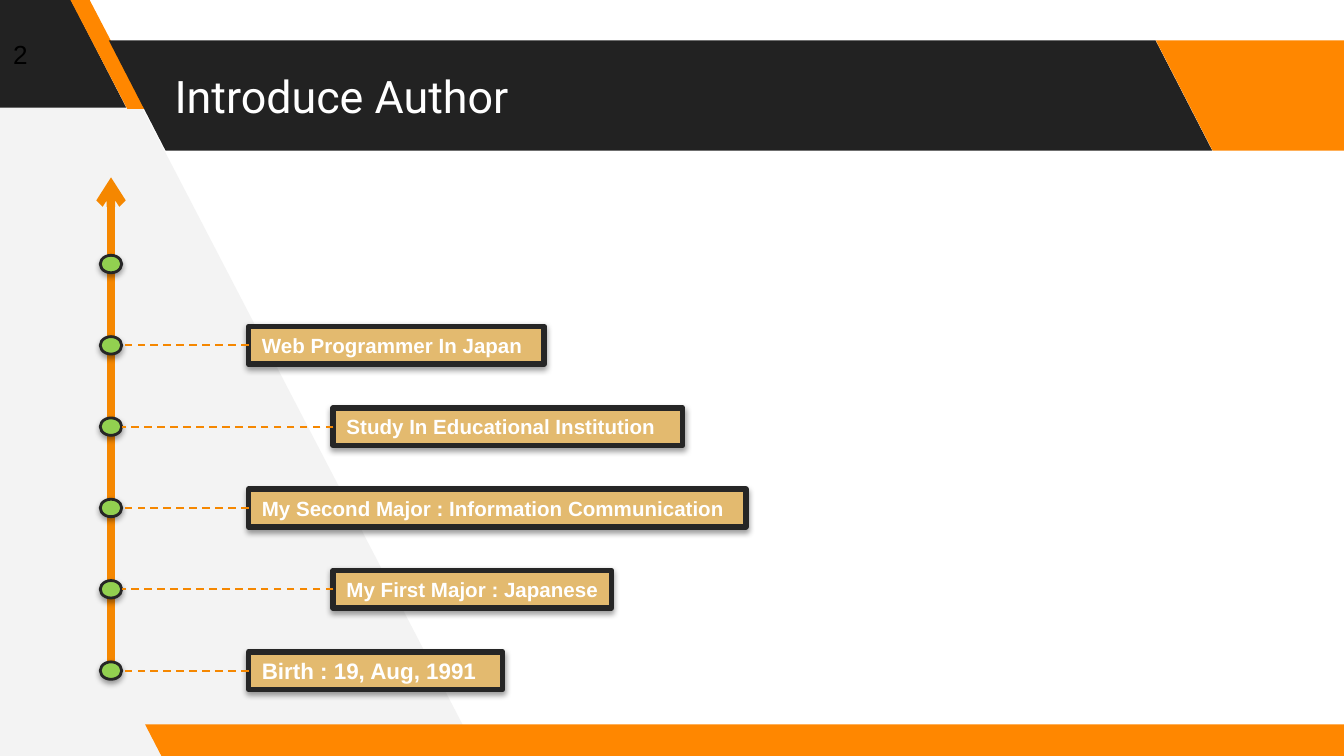
"""Build the author timeline slide."""
from typing import NamedTuple

import lxml.etree
import pptx
import pptx.dml.color
import pptx.enum.dml
import pptx.enum.shapes
import pptx.enum.text
import pptx.oxml
import pptx.oxml.ns
import pptx.util

RGB = pptx.dml.color.RGBColor
KIND = pptx.enum.shapes.MSO_SHAPE
DARK = RGB(0x22, 0x22, 0x22)
EDGE = RGB(0x26, 0x26, 0x26)
ORANGE = RGB(0xFF, 0x87, 0x00)
AMBER = RGB(0xF5, 0x87, 0x00)
SAND = RGB(0xE3, 0xBA, 0x6F)
GREEN = RGB(0x92, 0xD0, 0x50)
PALE = RGB(0xF3, 0xF3, 0xF3)
WHITE = RGB(0xFF, 0xFF, 0xFF)
BLACK = RGB(0, 0, 0)

WIDE = pptx.util.Inches(10)
HIGH = WIDE * 9 // 16
COLS, ROWS = 100, 56.25
AXIS, BASE, STEP = 8.26, 49.9, 6.05
DOT_W, DOT_H, BOX_H = 1.6, 1.3, 2.8
NEAR, FAR = 18.5, 24.8
SHADE = (
    '<a:effectLst xmlns:a="http://schemas.openxmlformats.org/drawingml/2006/main">'
    '<a:outerShdw blurRad="39370" dist="20320" dir="5400000" rotWithShape="0">'
    '<a:srgbClr val="000000"><a:alpha val="38000"/></a:srgbClr>'
    '</a:outerShdw></a:effectLst>'
)


class Area(NamedTuple):
    """Place and size in grid columns and rows."""
    left: float
    top: float
    width: float
    height: float


class Band(NamedTuple):
    """Slanted band with its slant and colour."""
    area: Area
    slant: float
    color: RGB


class Event(NamedTuple):
    """Labelled step of the timeline."""
    text: str
    left: float
    width: float
    size: float = 11


BANDS = (
    Band(Area(-9.9, -0.2, 19.3, 8.2), 0.515, DARK),
    Band(Area(5.2, -0.1, 5.7, 8.2), 0.75, ORANGE),
    Band(Area(8.1, 3, 82.1, 8.2), 0.515, DARK),
    Band(Area(86, 3, 19.2, 8.2), 0.515, ORANGE),
    Band(Area(10.8, 53.9, 91.5, 2.5), 0.515, ORANGE),
)
EVENTS = (
    Event("Birth : 19, Aug, 1991", NEAR, 18.9, 12),
    Event("My First Major : Japanese", FAR, 20.7),
    Event("My Second Major : Information Communication", NEAR, 37),
    Event("Study In Educational Institution", FAR, 26),
    Event("Web Programmer In Japan", NEAR, 22),
)


def col(count: float) -> int:
    """Return the length of some columns."""
    return round(WIDE * count / COLS)


def row(count: float) -> int:
    """Return the length of some rows."""
    return round(HIGH * count / ROWS)


def span(area: Area) -> tuple[int, int, int, int]:
    """Return an area as slide lengths."""
    return col(area.left), row(area.top), col(area.width), row(area.height)


def add_form(slide, kind, area: Area, fill: RGB, width: float = 0):
    """Add a filled shape, outlined and shaded if a width is given."""
    form = slide.shapes.add_shape(kind, *span(area))
    form.shadow.inherit = False
    form.fill.solid()
    form.fill.fore_color.rgb = fill
    if width:
        form.line.color.rgb = EDGE
        form.line.width = pptx.util.Pt(width)
        prop = form._element.spPr
        old = prop.find(pptx.oxml.ns.qn("a:effectLst"))
        prop.replace(old, pptx.oxml.parse_xml(SHADE))
    else:
        form.line.fill.background()
    return form


def add_text(form, text: str, size: float, color: RGB, font: str = "Arial", bold: bool = False) -> None:
    """Write one left-aligned run in the middle of a shape."""
    frame = form.text_frame
    frame.word_wrap = True
    frame.margin_right = 0
    frame.vertical_anchor = pptx.enum.text.MSO_ANCHOR.MIDDLE
    para = frame.paragraphs[0]
    para.alignment = pptx.enum.text.PP_ALIGN.LEFT
    run = para.add_run()
    run.text = text
    run.font.name = font
    run.font.size = pptx.util.Pt(size)
    run.font.bold = bold
    run.font.color.rgb = color


def add_line(slide, start: tuple[float, float], end: tuple[float, float], width: float):
    """Add a straight line between two grid points."""
    line = slide.shapes.add_connector(
        pptx.enum.shapes.MSO_CONNECTOR.STRAIGHT,
        col(start[0]), row(start[1]), col(end[0]), row(end[1]))
    line.line.color.rgb = AMBER
    line.line.width = pptx.util.Pt(width)
    lxml.etree.SubElement(line._element.spPr, pptx.oxml.ns.qn("a:effectLst"))
    return line


def add_back(slide) -> None:
    """Draw the pale wedge and the slanted bands."""
    pen = slide.shapes.build_freeform(col(35.6), row(56.2))
    pen.add_line_segments([(col(6.2), row(-0.4)), (col(-0.6), row(-0.4)), (col(-0.2), row(56.6))])
    wedge = pen.convert_to_shape()
    wedge.shadow.inherit = False
    wedge.fill.solid()
    wedge.fill.fore_color.rgb = PALE
    wedge.line.fill.background()
    for band in BANDS:
        form = add_form(slide, KIND.PARALLELOGRAM, band.area, band.color)
        form.adjustments[0] = band.slant
        form._element.spPr.xfrm.set("flipH", "1")


def add_axis(slide) -> None:
    """Draw the upward arrow and its dots."""
    axis = add_line(slide, (AXIS, 49.2), (AXIS, 13.2), 4.5)
    lxml.etree.SubElement(axis.line._get_or_add_ln(), pptx.oxml.ns.qn("a:tailEnd"), type="arrow")
    for rank in range(len(EVENTS) + 1):
        mid = BASE - rank * STEP
        area = Area(AXIS - DOT_W / 2, mid - DOT_H / 2, DOT_W, DOT_H)
        add_form(slide, KIND.OVAL, area, GREEN, 1.5)


def add_event(slide, rank: int, event: Event) -> None:
    """Draw one label and its dashed link to the axis."""
    mid = BASE - rank * STEP
    area = Area(event.left, mid - BOX_H / 2, event.width, BOX_H)
    box = add_form(slide, KIND.RECTANGLE, area, SAND, 3)
    add_text(box, event.text, event.size, WHITE, bold=True)
    link = add_line(slide, (event.left, mid), (AXIS + DOT_W / 2, mid), 1)
    link.line.dash_style = pptx.enum.dml.MSO_LINE.DASH


def main() -> None:
    """Build and save the slide."""
    deck = pptx.Presentation()
    deck.slide_width, deck.slide_height = WIDE, HIGH
    slide = deck.slides.add_slide(deck.slide_layouts[6])
    add_back(slide)
    title = slide.shapes.add_textbox(*span(Area(12, 3, 82.8, 8.2)))
    add_text(title, "Introduce Author", 24, WHITE, "Roboto")
    page = slide.shapes.add_textbox(*span(Area(0, 2, 6, 4)))
    add_text(page, "2", 14, BLACK)
    add_axis(slide)
    for rank, event in enumerate(EVENTS):
        add_event(slide, rank, event)
    deck.save("out.pptx")


if __name__ == "__main__":
    main()
